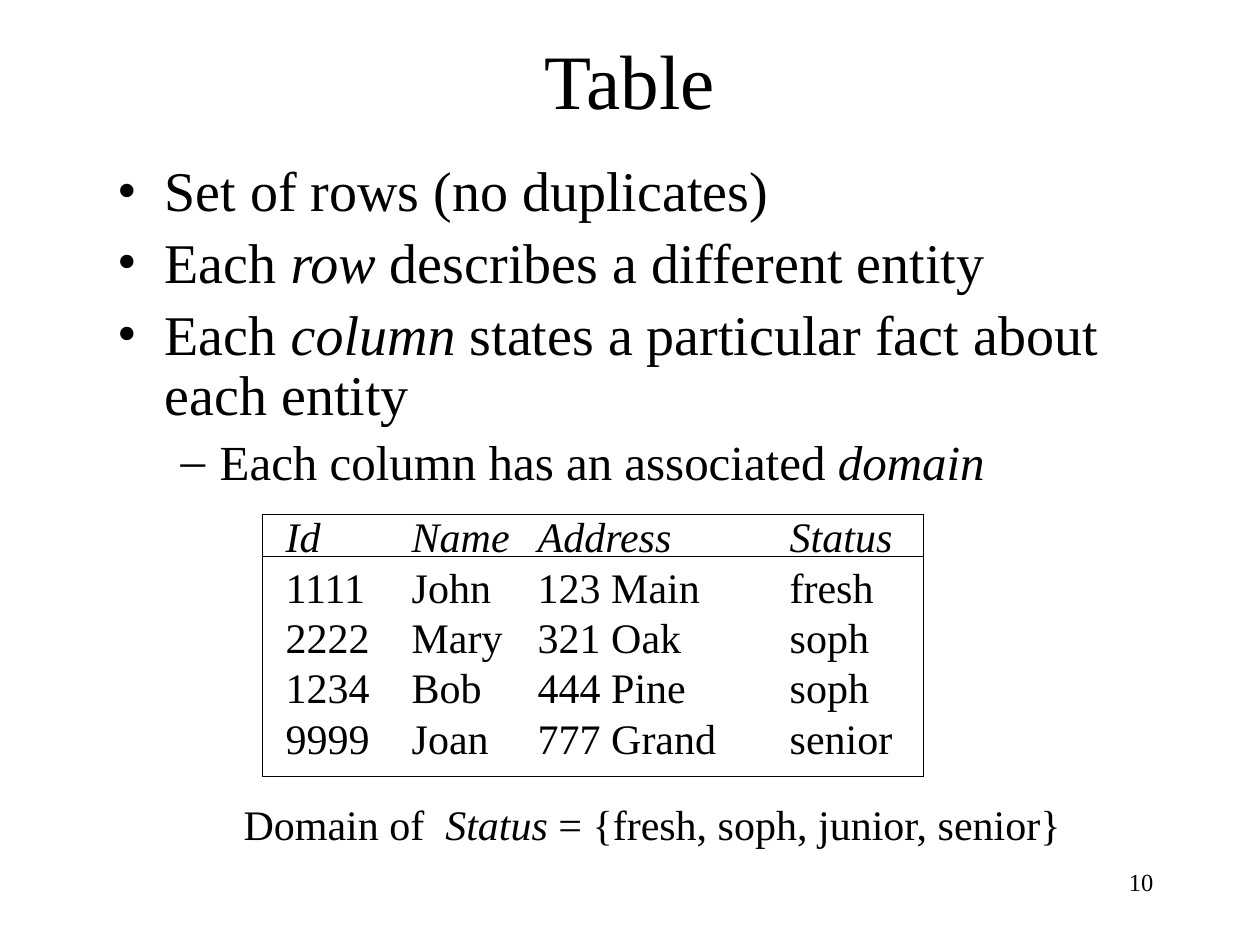
from collections import namedtuple

from lxml import etree
from pptx import Presentation
from pptx.dml.color import RGBColor
from pptx.enum.shapes import MSO_CONNECTOR
from pptx.enum.text import MSO_ANCHOR, PP_ALIGN
from pptx.oxml.ns import qn
from pptx.util import Cm, Pt

BLACK = RGBColor(0x00, 0x00, 0x00)
FONT = "Times New Roman"
LEFT, CENTER, RIGHT = PP_ALIGN.LEFT, PP_ALIGN.CENTER, PP_ALIGN.RIGHT
MIDDLE = MSO_ANCHOR.MIDDLE
STRAIGHT = MSO_CONNECTOR.STRAIGHT

Box = namedtuple("Box", "left top width height")
Level = namedtuple("Level", "size bullet margin hanging")

LEVELS = [Level(32, "•", 0.95, 0.95), Level(28, "–", 2.06, 0.79)]
BULLETS = [
    (0, ["Set of rows (no duplicates)"]),
    (0, ["Each ", "row", " describes a different entity"]),
    (0, ["Each ", "column", " states a particular fact about each entity"]),
    (1, ["Each column has an associated ", "domain"]),
]
ROWS = [
    ["Id", "Name", "Address", "Status"],
    ["1111", "John", "123 Main", "fresh"],
    ["2222", "Mary", "321 Oak", "soph"],
    ["1234", "Bob", "444 Pine", "soph"],
    ["9999", "Joan", "777 Grand", "senior"],
]
TAB_STOPS = [2.54, 5.08, 10.16]
HEADER_HEIGHT = 0.85


def apply(target, values):
    """Set every attribute in values on target."""
    for name, value in values.items():
        setattr(target, name, value)


def lengths(box):
    """Turn a box in centimetres into slide lengths."""
    return [Cm(value) for value in box]


def add_span(para, text, size, italic=False):
    """Append one formatted run to a paragraph."""
    span = para.add_run()
    span.text = text
    apply(span.font, {"name": FONT, "size": Pt(size), "italic": italic})
    span.font.color.rgb = BLACK


def write_parts(para, parts, size):
    """Write parts whose every second one is italic."""
    for index, part in enumerate(parts):
        add_span(para, part, size, italic=index % 2 == 1)


def add_title(page, box, text):
    """Place the title placeholder in the box."""
    title = page.shapes.title
    apply(title, dict(zip(Box._fields, lengths(box))))
    title.text_frame.vertical_anchor = MIDDLE
    para = title.text_frame.paragraphs[0]
    para.alignment = CENTER
    add_span(para, text, 44)


def add_line_of_text(page, box, parts, size, alignment):
    """Place a single paragraph in the box."""
    frame = page.shapes.add_textbox(*lengths(box)).text_frame
    frame.word_wrap = True
    para = frame.paragraphs[0]
    para.alignment = alignment
    write_parts(para, parts, size)


def add_bullets(page, box, bullets):
    """Place the bulleted list in the box."""
    frame = page.shapes.add_textbox(*lengths(box)).text_frame
    frame.word_wrap = True
    for index, (depth, parts) in enumerate(bullets):
        para = frame.add_paragraph() if index else frame.paragraphs[0]
        level = LEVELS[depth]
        apply(para, {"level": depth, "line_spacing": 0.9,
                     "space_before": Pt(level.size * 0.2)})
        properties = para._p.get_or_add_pPr()
        properties.set("marL", str(Cm(level.margin)))
        properties.set("indent", str(-Cm(level.hanging)))
        etree.SubElement(properties, qn("a:buFont"), typeface=FONT)
        etree.SubElement(properties, qn("a:buChar"), char=level.bullet)
        write_parts(para, parts, level.size)


def add_rule(page, start, end):
    """Draw a thin black line between two points."""
    points = [Cm(value) for value in (*start, *end)]
    rule = page.shapes.add_connector(STRAIGHT, *points)
    rule.line.width = Pt(0.75)
    rule.line.color.rgb = BLACK
    etree.SubElement(rule._element.spPr, qn("a:effectLst"))


def add_student_table(page, box, rows):
    """Place the tabbed rows, the frame and the header rule in the box."""
    right, bottom = box.left + box.width, box.top + box.height
    text_box = Box(box.left + 0.22, box.top - 0.2, 12.75, 5.54)
    frame = page.shapes.add_textbox(*lengths(text_box)).text_frame
    frame.word_wrap = False
    for index, texts in enumerate(rows):
        para = frame.add_paragraph() if index else frame.paragraphs[0]
        tabs = etree.SubElement(para._p.get_or_add_pPr(), qn("a:tabLst"))
        for stop in TAB_STOPS:
            etree.SubElement(tabs, qn("a:tab"), pos=str(Cm(stop)), algn="l")
        add_span(para, "\t".join(texts), 24, italic=index == 0)
    for y in (box.top, box.top + HEADER_HEIGHT, bottom):
        add_rule(page, (box.left, y), (right, y))
    for x in (box.left, right):
        add_rule(page, (x, box.top), (x, bottom))


def main():
    """Build the slide and save it."""
    deck = Presentation()
    apply(deck, {"slide_width": Cm(25.4), "slide_height": Cm(19.05)})
    page = deck.slides.add_slide(deck.slide_layouts[5])
    add_title(page, Box(1.9, 0.64, 21.6, 1.9), "Table")
    add_bullets(page, Box(2.12, 3.17, 21.8, 6.9), BULLETS)
    add_student_table(page, Box(5.29, 10.37, 13.33, 5.29), ROWS)
    add_line_of_text(page, Box(4.66, 15.98, 18, 1.3),
                     ["Domain of  ", "Status", " = {fresh, soph, junior, senior}"],
                     24, LEFT)
    add_line_of_text(page, Box(18.2, 17.35, 5.3, 1.27), ["10"], 14, RIGHT)
    deck.save("out.pptx")


if __name__ == "__main__":
    main()
